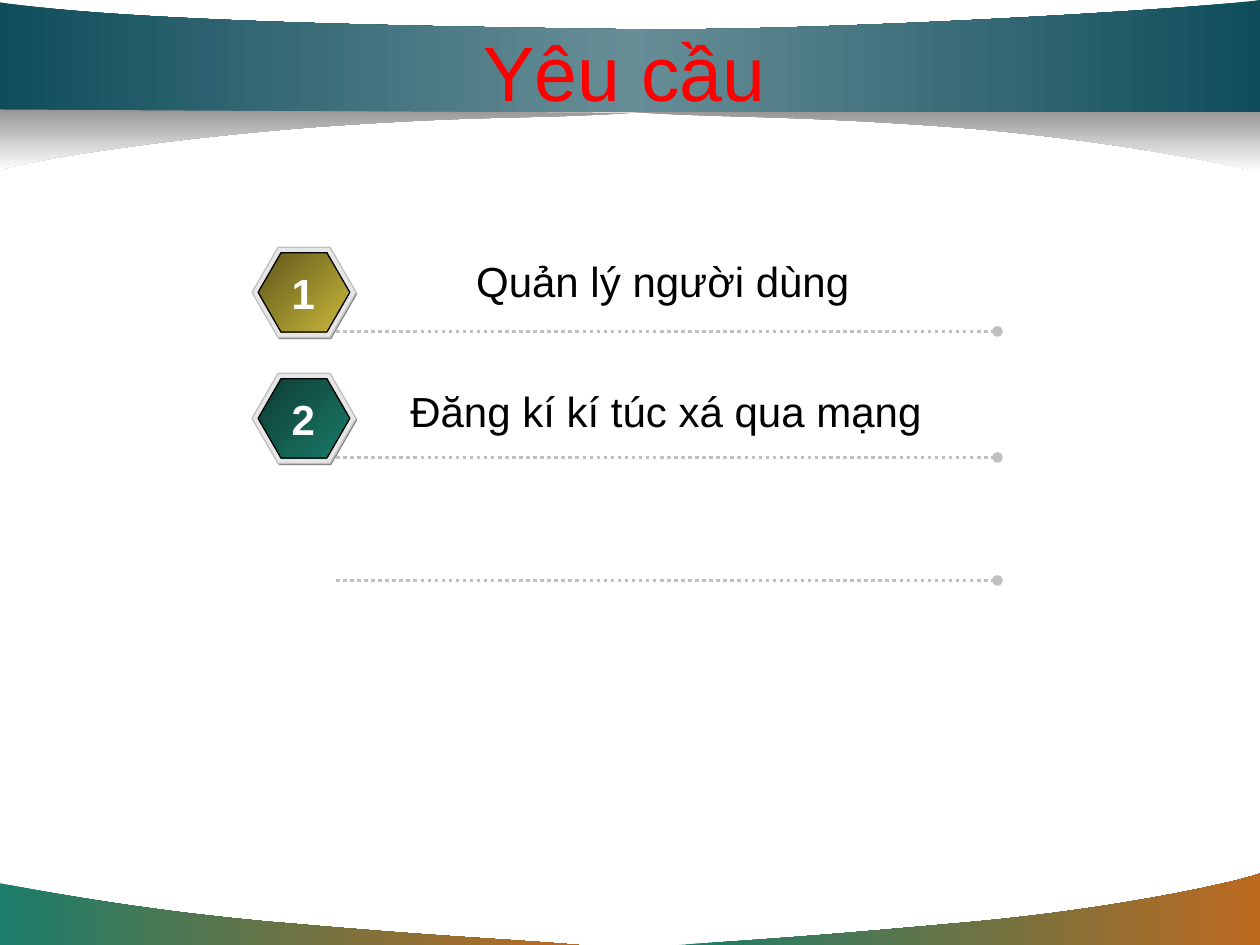
from copy import deepcopy
from pptx import Presentation
from pptx.dml.color import RGBColor
from pptx.enum.dml import MSO_LINE
from pptx.enum.shapes import MSO_CONNECTOR, MSO_SHAPE
from pptx.enum.text import MSO_ANCHOR, PP_ALIGN
from pptx.oxml.ns import qn
from pptx.util import Pt
from lxml.etree import SubElement

RED = RGBColor(0xFF, 0x00, 0x00)
BLACK = RGBColor(0x00, 0x00, 0x00)
WHITE = RGBColor(0xFF, 0xFF, 0xFF)
SILVER = RGBColor(0xC0, 0xC0, 0xC0)
PALE_GREY = RGBColor(0xE6, 0xE6, 0xE6)
MID_GREY = RGBColor(0x96, 0x96, 0x96)
DARK_GREY = RGBColor(0x80, 0x80, 0x80)
GREEN = RGBColor(0x1B, 0x7D, 0x6A)
DARK_GREEN = RGBColor(0x0D, 0x3A, 0x31)
ORANGE = RGBColor(0xBD, 0x6A, 0x1F)
TEAL = RGBColor(0x0F, 0x4D, 0x5B)
LIGHT_TEAL = RGBColor(0x67, 0x8E, 0x97)
OLIVE = RGBColor(0x5E, 0x56, 0x1B)
GOLD = RGBColor(0xCB, 0xBA, 0x3B)

FONT = "Arial"
FIRST_TOP = 141.3
ROW_STEP = 72
RULE_TOPS = (189.4, 261.4, 331.7)

FOOTER_LEFT = [[(331, 540)], [(276.5, 535.7), (257.8, 535.7), (167, 527.8)],
               [(76.3, 520.6), (0.7, 504.7), (0, 504.7)], [(0, 540)], [(331, 540)]]
FOOTER_RIGHT = [[(388, 540)], [(442, 536.4), (465, 535), (553.7, 527)],
                [(642.2, 519), (712.8, 502.6), (720, 499)], [(720, 540)], [(388, 540)]]
SHADE_RIGHT = [[(360, 64)], [(420.5, 67.7), (446.4, 65.5), (545.8, 72.7)],
               [(645.8, 80.6), (718.6, 98), (720, 98)], [(720, 63.4)], [(360, 64)]]
SHADE_LEFT = [[(360, 64.6)], [(299.5, 68.4), (279.4, 65.5), (179.3, 72.7)],
              [(79.2, 80.6), (7.9, 93.6), (0, 97.4)], [(0, 62.6)], [(360, 64.6)]]
BANNER = [[(0, 64)], [(720, 64)], [(720, 0)],
          [(694, 4.3), (470.2, 18.7), (350.6, 16.6)],
          [(231, 15), (72.7, 12.2), (0, 1.4)], [(0, 64)]]


def set_gradient(shape, colours, angle):
    shape.fill.gradient()
    shape.fill.gradient_angle = -angle % 360
    stop_list = shape._element.spPr.find(".//" + qn("a:gsLst"))
    for _ in colours[2:]:
        stop_list.append(deepcopy(stop_list[0]))
    for index, (stop, colour) in enumerate(zip(shape.fill.gradient_stops, colours)):
        stop.position = index / (len(colours) - 1)
        stop.color.rgb = colour


def bend_segments(shape, parts):
    segments = list(shape._element.spPr.iter(qn("a:lnTo")))
    for segment, part in zip(segments, parts):
        if len(part) == 3:
            curve = SubElement(segment.getparent(), qn("a:cubicBezTo"))
            for x, y in part:
                SubElement(curve, qn("a:pt"), x=str(Pt(x) - shape.left), y=str(Pt(y) - shape.top))
            segment.getparent().replace(segment, curve)


def add_swoosh(page, outline, colours, angle):
    anchors = [(Pt(x), Pt(y)) for x, y in (part[-1] for part in outline)]
    builder = page.shapes.build_freeform(*anchors[0])
    builder.add_line_segments(anchors[1:], close=True)
    shape = builder.convert_to_shape()
    bend_segments(shape, outline[1:])
    shape.shadow.inherit = False
    shape.line.fill.background()
    set_gradient(shape, colours, angle)


def add_span(para, text, size, colour, bold=False):
    para.alignment = PP_ALIGN.CENTER
    span = para.add_run()
    span.text = text
    span.font.name = FONT
    span.font.size = Pt(size)
    span.font.bold = bold
    span.font.color.rgb = colour


def add_title(page, text):
    title = page.shapes.title
    page.shapes._spTree.append(title._element)
    title.left, title.top, title.width, title.height = Pt(54), Pt(18), Pt(618), Pt(44.6)
    title.text_frame.vertical_anchor = MSO_ANCHOR.MIDDLE
    add_span(title.text_frame.paragraphs[0], text, 44, RED)


def add_hexagon(group, left, top, width, height, line_colour=None):
    shape = group.shapes.add_shape(MSO_SHAPE.HEXAGON, Pt(left), Pt(top), Pt(width), Pt(height))
    shape.shadow.inherit = False
    shape.adjustments[0] = 0.289
    if line_colour is None:
        shape.line.fill.background()
    else:
        shape.line.color.rgb = line_colour
        shape.line.width = Pt(0.75)
    return shape


def add_badge(page, top, colours):
    group = page.shapes.add_group_shape()
    shade = add_hexagon(group, 144.6, top + 1, 59.5, 51.6)
    shade.fill.solid()
    shade.fill.fore_color.rgb = DARK_GREY
    rim = add_hexagon(group, 144, top, 59.5, 51.6, SILVER)
    rim.fill.solid()
    rim.fill.fore_color.rgb = PALE_GREY
    face = add_hexagon(group, 147.5, top + 3.1, 52.4, 45.4, BLACK)
    set_gradient(face, colours, 45)


def add_rule(page, top):
    rule = page.shapes.add_connector(MSO_CONNECTOR.STRAIGHT, Pt(192), Pt(top), Pt(570), Pt(top))
    rule.line.color.rgb = SILVER
    rule.line.width = Pt(2)
    rule.line.dash_style = MSO_LINE.ROUND_DOT
    SubElement(rule.line._get_or_add_ln(), qn("a:tailEnd"), type="oval")
    SubElement(rule._element.spPr, qn("a:effectLst"))


def add_text(page, text, left, top, width, colour, bold=False, wrap=True):
    box = page.shapes.add_textbox(Pt(left), Pt(top), Pt(width), Pt(36))
    box.text_frame.word_wrap = wrap
    add_span(box.text_frame.paragraphs[0], text, 24, colour, bold)


def main():
    deck = Presentation()
    deck.slide_width, deck.slide_height = Pt(720), Pt(540)
    page = deck.slides.add_slide(deck.slide_layouts[5])

    for outline in (FOOTER_LEFT, FOOTER_RIGHT):
        add_swoosh(page, outline, (GREEN, ORANGE), 0)
    add_swoosh(page, SHADE_RIGHT, (MID_GREY, WHITE), 90)
    add_swoosh(page, BANNER, (TEAL, LIGHT_TEAL, TEAL), 0)
    add_swoosh(page, SHADE_LEFT, (MID_GREY, WHITE), 90)
    add_title(page, "Yêu cầu ")

    items = (
        ("Quản lý người dùng", (OLIVE, GOLD), 211.7, 142.6, 334),
        ("Đăng kí kí túc xá qua mạng", (DARK_GREEN, GREEN), 215.3, 216.7, 330.5),
    )
    for index, (_, colours, *_) in enumerate(items):
        add_badge(page, FIRST_TOP + index * ROW_STEP, colours)
    for top in RULE_TOPS:
        add_rule(page, top)
    for index, (text, _, left, top, width) in enumerate(items):
        number_top = FIRST_TOP + index * ROW_STEP + 8
        add_text(page, str(index + 1), 159.6, number_top, 27.4, WHITE, bold=True, wrap=False)
        add_text(page, text, left, top, width, BLACK)

    deck.save("out.pptx")


if __name__ == "__main__":
    main()
